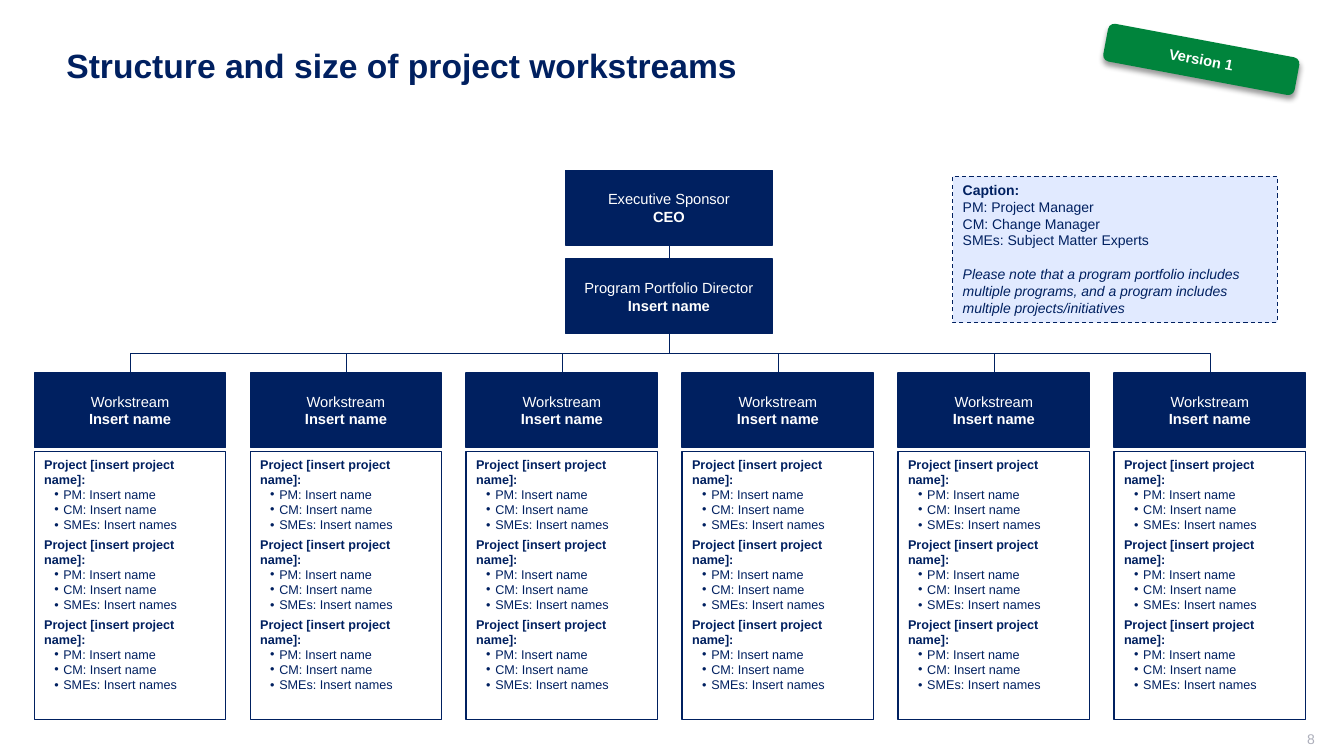
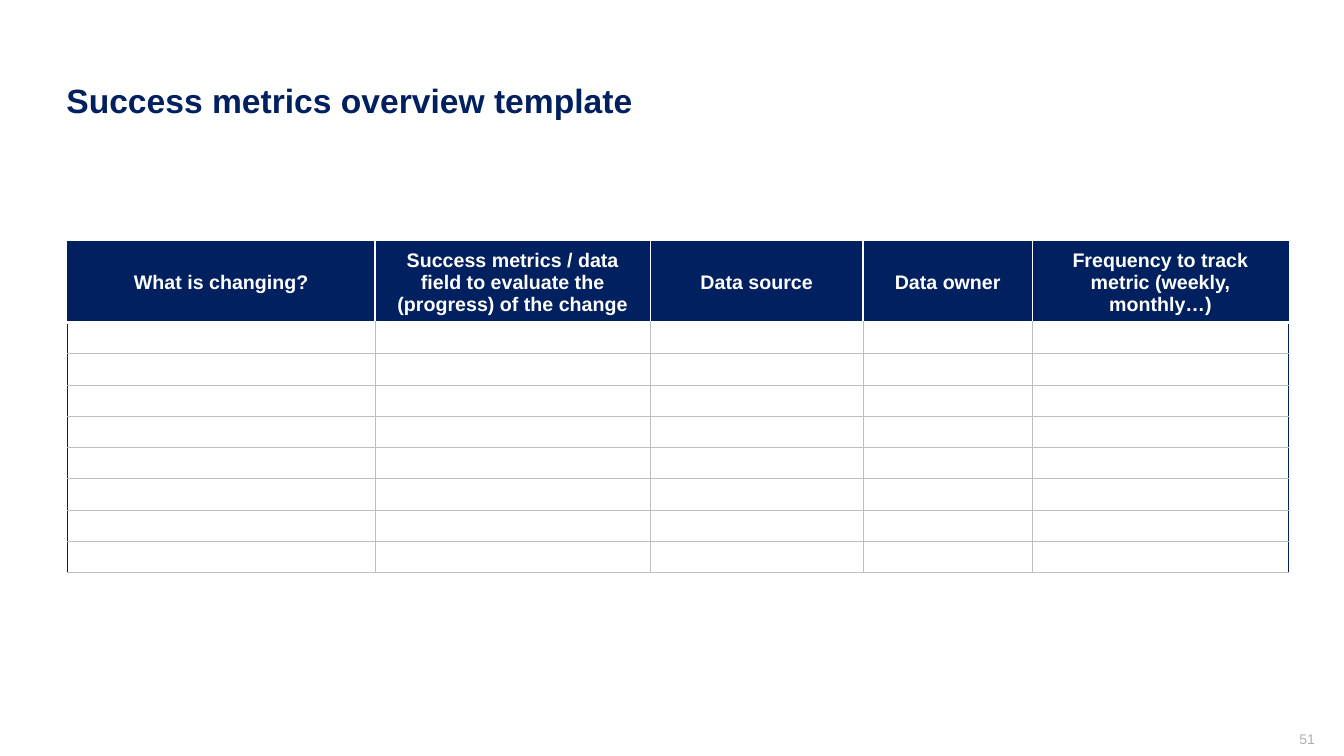
from lxml import etree
from pptx import Presentation
from pptx import util as u
from pptx.dml.color import RGBColor
from pptx.enum import dml, shapes, text
from pptx.oxml import ns


class Theme:
    font = "Arial"
    navy = RGBColor.from_string("002060")
    white = RGBColor.from_string("FFFFFF")
    pale = RGBColor.from_string("E1EAFF")
    green = RGBColor.from_string("00843C")
    page_grey = RGBColor.from_string("ADAFBB")
    grid_grey = RGBColor.from_string("BFBFBF")
    title, header, role, caption, project = 24, 14, 10.5, 10, 9


LEFT, CENTER, RIGHT = text.PP_ALIGN.LEFT, text.PP_ALIGN.CENTER, text.PP_ALIGN.RIGHT
TOP, MIDDLE = text.MSO_ANCHOR.TOP, text.MSO_ANCHOR.MIDDLE


def write(frame, lines, size, color, align=LEFT, anchor=MIDDLE):
    """Fill a frame with (words, style, space before); style is b, i, • or empty."""
    frame.word_wrap = True
    frame.vertical_anchor = anchor
    for number, (words, style, space) in enumerate(lines):
        para = frame.add_paragraph() if number else frame.paragraphs[0]
        para.alignment = align
        if number and space:
            para.space_before = u.Pt(space)
        if style == "•":
            props = para._p.get_or_add_pPr()
            props.set("marL", str(u.Inches(0.19)))
            props.set("indent", str(u.Inches(-0.09)))
            etree.SubElement(props, ns.qn("a:buFont"), typeface=Theme.font)
            etree.SubElement(props, ns.qn("a:buChar"), char="•")
        run = para.add_run()
        run.text = words
        run.font.name, run.font.size = Theme.font, u.Pt(size)
        run.font.color.rgb = color
        run.font.bold, run.font.italic = style == "b", style == "i"


def add_box(slide, left, top, width, height, fill, line_width=1,
            kind=shapes.MSO_SHAPE.RECTANGLE):
    box = slide.shapes.add_shape(kind, *map(u.Inches, (left, top, width, height)))
    box.shadow.inherit = False
    box.fill.solid()
    box.fill.fore_color.rgb = fill
    if line_width:
        box.line.color.rgb = Theme.navy
        box.line.width = u.Pt(line_width)
    else:
        box.line.fill.background()
    return box


prs = Presentation()
prs.slide_width, prs.slide_height = u.Inches(13.33), u.Inches(7.5)

# Titles and page numbers
pages = []
for heading, anchor, number in (
    ("Structure and size of project workstreams", TOP, "8"),
    ("Success metrics overview template", MIDDLE, "51"),
):
    page = prs.slides.add_slide(prs.slide_layouts[6])
    title = page.shapes.add_textbox(*map(u.Inches, (0.56, 0.4, 12.11, 1.19)))
    write(title.text_frame, [(heading, "b", 0)], Theme.title, Theme.navy, anchor=anchor)
    footer = page.shapes.add_textbox(*map(u.Inches, (10.04, 7.25, 3, 0.21)))
    footer.text_frame.margin_top = footer.text_frame.margin_right = 0
    write(footer.text_frame, [(number, "", 0)], 10, Theme.page_grey, RIGHT)
    pages.append(page)
structure, metrics = pages

# Sponsor and director
leaders = []
for role, holder, top in (
    ("Executive Sponsor", "CEO", 1.69),
    ("Program Portfolio Director", "Insert name", 2.57),
):
    leader = add_box(structure, 5.61, top, 2.05, 0.74, Theme.navy)
    write(leader.text_frame, [(role, "", 0), (holder, "b", 0)],
          Theme.role, Theme.white, CENTER)
    leaders.append(leader)
sponsor, director = leaders

# Workstreams with their projects
project = [
    ("Project [insert project name]:", "b", 3),
    ("PM: Insert name", "•", 0),
    ("CM: Insert name", "•", 0),
    ("SMEs: Insert names", "•", 0),
]
workstreams = []
for column in range(6):
    left = 0.34 + column * 2.142
    workstream = add_box(structure, left, 3.7, 1.9, 0.74, Theme.navy)
    write(workstream.text_frame, [("Workstream", "", 0), ("Insert name", "b", 0)],
          Theme.role, Theme.white, CENTER)
    workstreams.append(workstream)
    projects = add_box(structure, left, 4.48, 1.9, 2.66, Theme.white)
    write(projects.text_frame, project * 3, Theme.project, Theme.navy, anchor=TOP)

# Reporting lines
for upper, lower in [(sponsor, director)] + [(director, w) for w in workstreams]:
    straight = upper is sponsor
    kind = shapes.MSO_CONNECTOR.STRAIGHT if straight else shapes.MSO_CONNECTOR.ELBOW
    report = structure.shapes.add_connector(kind, 0, 0, 0, 0)
    report.begin_connect(upper, 2)
    report.end_connect(lower, 0)
    report.line.color.rgb = Theme.navy
    report.line.width = u.Pt(0.5)
    props = report._element.spPr
    etree.SubElement(props, ns.qn("a:effectLst"))
    if not straight:
        # A turned frame makes the elbow leave downwards
        to_right = report.end_x > report.begin_x
        mid_x = (report.begin_x + report.end_x) // 2
        mid_y = (report.begin_y + report.end_y) // 2
        drop, reach = report.height, report.width
        report.left, report.top = mid_x - drop // 2, mid_y - reach // 2
        report.width, report.height = drop, reach
        props.xfrm.set("rot", str((270 if to_right else 90) * 60000))
        props.xfrm.set("flipH", "1" if to_right else "0")

# Caption
caption = add_box(structure, 9.45, 1.75, 3.22, 1.45, Theme.pale, 0.75)
caption.line.dash_style = dml.MSO_LINE.DASH
write(caption.text_frame, [
    ("Caption:", "b", 0),
    ("PM: Project Manager", "", 0),
    ("CM: Change Manager", "", 0),
    ("SMEs: Subject Matter Experts", "", 0),
    ("Please note that a program portfolio includes multiple programs, "
     "and a program includes multiple projects/initiatives", "i", 12),
], Theme.caption, Theme.navy, anchor=TOP)

# Version sticker
version = add_box(structure, 10.95, 0.4, 1.93, 0.38, Theme.green, 0,
                  shapes.MSO_SHAPE.ROUNDED_RECTANGLE)
version.rotation = 10.6
write(version.text_frame, [("Version 1", "b", 0)], Theme.role, Theme.white, CENTER)
effects = version._element.spPr.find(ns.qn("a:effectLst"))
shadow = etree.SubElement(effects, ns.qn("a:outerShdw"), blurRad=str(u.Pt(4)),
                          dist=str(u.Pt(3)), dir="5400000", rotWithShape="0")
shade = etree.SubElement(shadow, ns.qn("a:srgbClr"), val="000000")
etree.SubElement(shade, ns.qn("a:alpha"), val="40000")

# Metrics table
headers = [
    ("What is changing?", 3.05),
    ("Success metrics / data field to evaluate the (progress) of the change", 2.73),
    ("Data source", 2.11),
    ("Data owner", 1.68),
    ("Frequency to track metric (weekly, monthly…)", 2.54),
]
row_heights = [0.75] + [0.31] * 8
grid = metrics.shapes.add_table(
    len(row_heights), len(headers),
    *map(u.Inches, (0.67, 2.4, 12.11, sum(row_heights)))).table
grid.horz_banding = False
for column, (_, width) in zip(grid.columns, headers):
    column.width = u.Inches(width)
for row, height in zip(grid.rows, row_heights):
    row.height = u.Inches(height)

outer, inner = (Theme.navy, 0.75), (Theme.grid_grey, 0.75)
divider, gap = (Theme.white, 1), (Theme.white, 3)
last = len(headers) - 1
for r in range(len(row_heights)):
    for c, (heading, _) in enumerate(headers):
        cell = grid.cell(r, c)
        between = inner if r else divider
        borders = {
            "a:lnL": between if c else outer,
            "a:lnR": between if c < last else outer,
            "a:lnT": outer if r == 0 else gap if r == 1 else inner,
            "a:lnB": inner if r else gap,
        }
        cell_props = cell._tc.get_or_add_tcPr()
        for tag, (color, points) in borders.items():
            edge = etree.SubElement(cell_props, ns.qn(tag), w=str(u.Pt(points)))
            paint = etree.SubElement(edge, ns.qn("a:solidFill"))
            etree.SubElement(paint, ns.qn("a:srgbClr"), val=str(color))
        if r == 0:
            cell.fill.solid()
            cell.fill.fore_color.rgb = Theme.navy
            write(cell.text_frame, [(heading, "b", 0)], Theme.header, Theme.white, CENTER)
            cell.vertical_anchor = MIDDLE
        else:
            cell.fill.background()
            # Small empty lines keep the rows at their set height
            cell.text_frame.paragraphs[0]._p.get_or_add_endParaRPr().set("sz", "1200")

prs.save("out.pptx")
